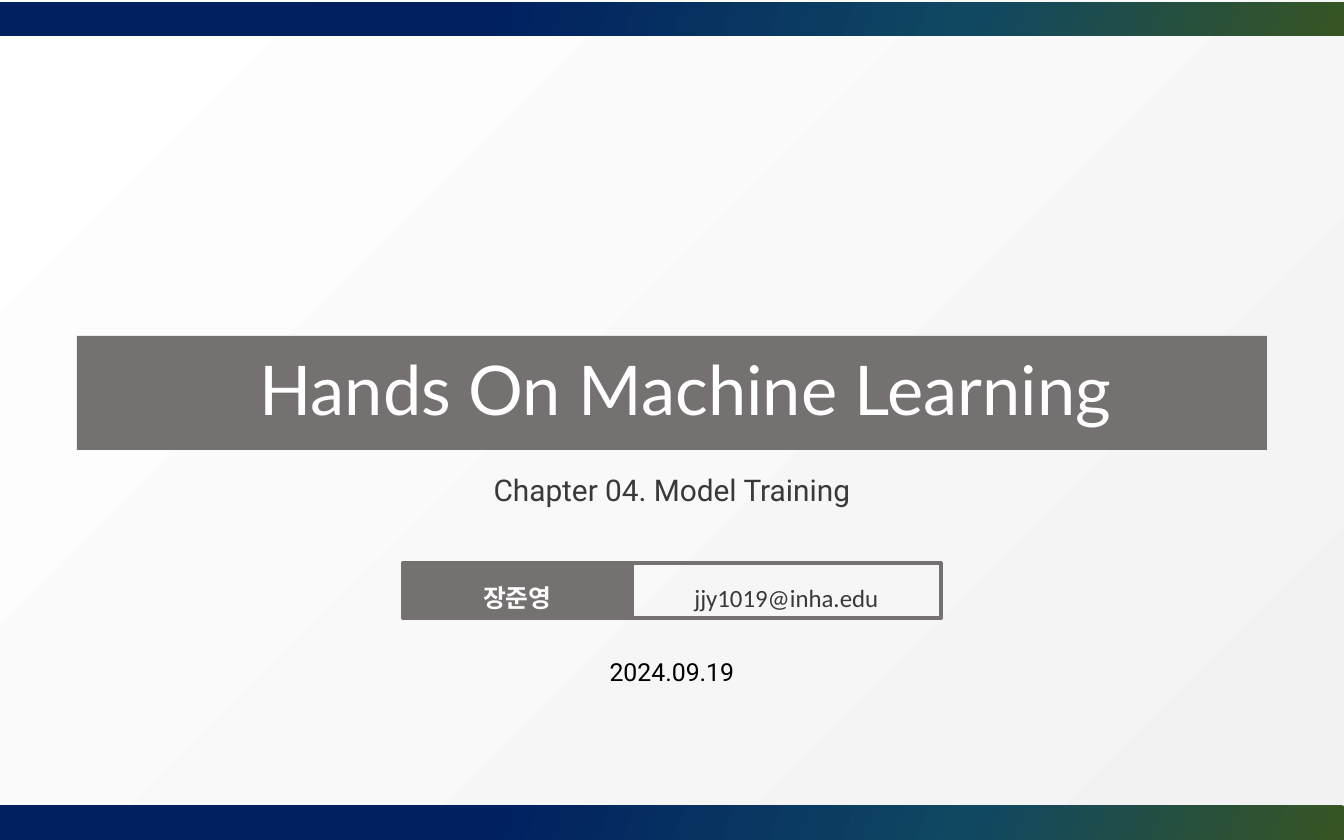
from copy import deepcopy

from pptx import Presentation
from pptx.dml.color import RGBColor
from pptx.enum.shapes import MSO_SHAPE
from pptx.enum.text import MSO_ANCHOR, PP_ALIGN
from pptx.oxml.ns import qn
from pptx.util import Pt

SCALE = 914400 / 134.4
WHITE = RGBColor(0xFF, 0xFF, 0xFF)
PALE = RGBColor(0xF2, 0xF2, 0xF2)
GREEN = RGBColor(0x37, 0x55, 0x23)
TEAL = RGBColor(0x10, 0x48, 0x62)
NAVY = RGBColor(0x00, 0x20, 0x60)
GREY = RGBColor(0x76, 0x71, 0x71)
DARK = RGBColor(0x3B, 0x38, 0x38)
BLACK = RGBColor(0x00, 0x00, 0x00)


def px(n):
    return round(n * SCALE)


def write(shape, text, font, size, color, gap=1.4, bold=False):
    """Put one centred line of text into a shape."""
    frame = shape.text_frame
    frame.word_wrap = True
    frame.margin_top = px(8)
    frame.vertical_anchor = MSO_ANCHOR.TOP
    para = frame.paragraphs[0]
    para.alignment = PP_ALIGN.CENTER
    para.line_spacing = gap
    run = para.add_run()
    run.text = text
    run.font.name = font
    run.font.size = Pt(size)
    run.font.bold = bold
    run.font.color.rgb = color
    return para


prs = Presentation()
prs.slide_width, prs.slide_height = px(1344), px(840)
slide = prs.slides.add_slide(prs.slide_layouts[6])
shapes = slide.shapes

# Background
back = slide.background.fill
back.gradient()
back.gradient_angle = 315
for stop, color in zip(back.gradient_stops, (WHITE, PALE)):
    stop.color.rgb = color

# Top and bottom bars
for top in (2, 806):
    bar = shapes.add_shape(MSO_SHAPE.RECTANGLE, 0, px(top), px(1344), px(34))
    bar.shadow.inherit = False
    bar.line.fill.background()
    bar.fill.gradient()
    bar.fill.gradient_angle = 160
    stops = bar._element.spPr.find(".//" + qn("a:gsLst"))
    for _ in range(2):
        stops.append(deepcopy(stops[0]))
    marks = ((0, GREEN), (0.28, TEAL), (0.64, NAVY), (1, NAVY))
    for stop, (place, color) in zip(bar.fill.gradient_stops, marks):
        stop.position = place
        stop.color.rgb = color

# Title
title = shapes.add_shape(MSO_SHAPE.RECTANGLE, px(77), px(336), px(1190), px(114))
title.shadow.inherit = False
title.fill.solid()
title.fill.fore_color.rgb = GREY
title.line.fill.background()
para = write(title, "Hands On Machine Learning", "Lato", 36.7, WHITE, 0.9)
para._p.get_or_add_pPr().set("marL", str(px(27)))
title.text_frame.margin_top = title.text_frame.margin_bottom = px(7)
title.text_frame.vertical_anchor = MSO_ANCHOR.MIDDLE

# Name and address
name = shapes.add_shape(MSO_SHAPE.RECTANGLE, px(403), px(563), px(229), px(55))
mail = shapes.add_shape(MSO_SHAPE.RECTANGLE, px(632), px(563), px(309), px(55))
for box in (name, mail):
    box.shadow.inherit = False
    box.line.color.rgb = GREY
    box.line.width = Pt(2.25)
name.fill.solid()
name.fill.fore_color.rgb = GREY
mail.fill.background()
write(name, "장준영", "Arial", 13.3, WHITE, bold=True)
write(mail, "jjy1019@inha.edu", "Calibri", 13.3, DARK)

# Chapter and date
topic = shapes.add_textbox(px(77), px(449), px(1190), px(75))
write(topic, "Chapter 04. Model Training", "Roboto", 16, DARK)
date = shapes.add_textbox(px(403), px(637), px(538), px(55))
write(date, "2024.09.19", "Roboto", 13.3, BLACK)

prs.save("out.pptx")
